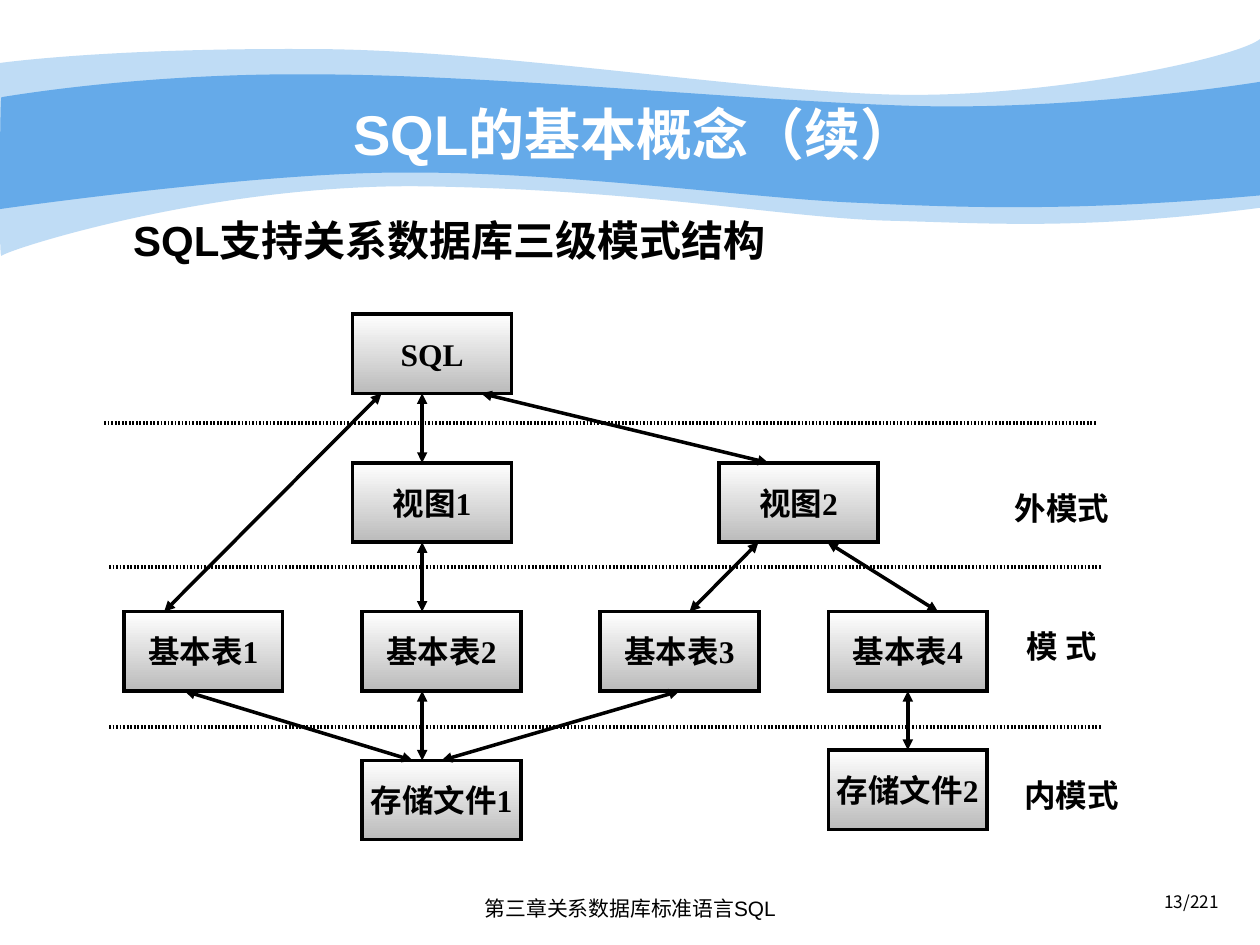
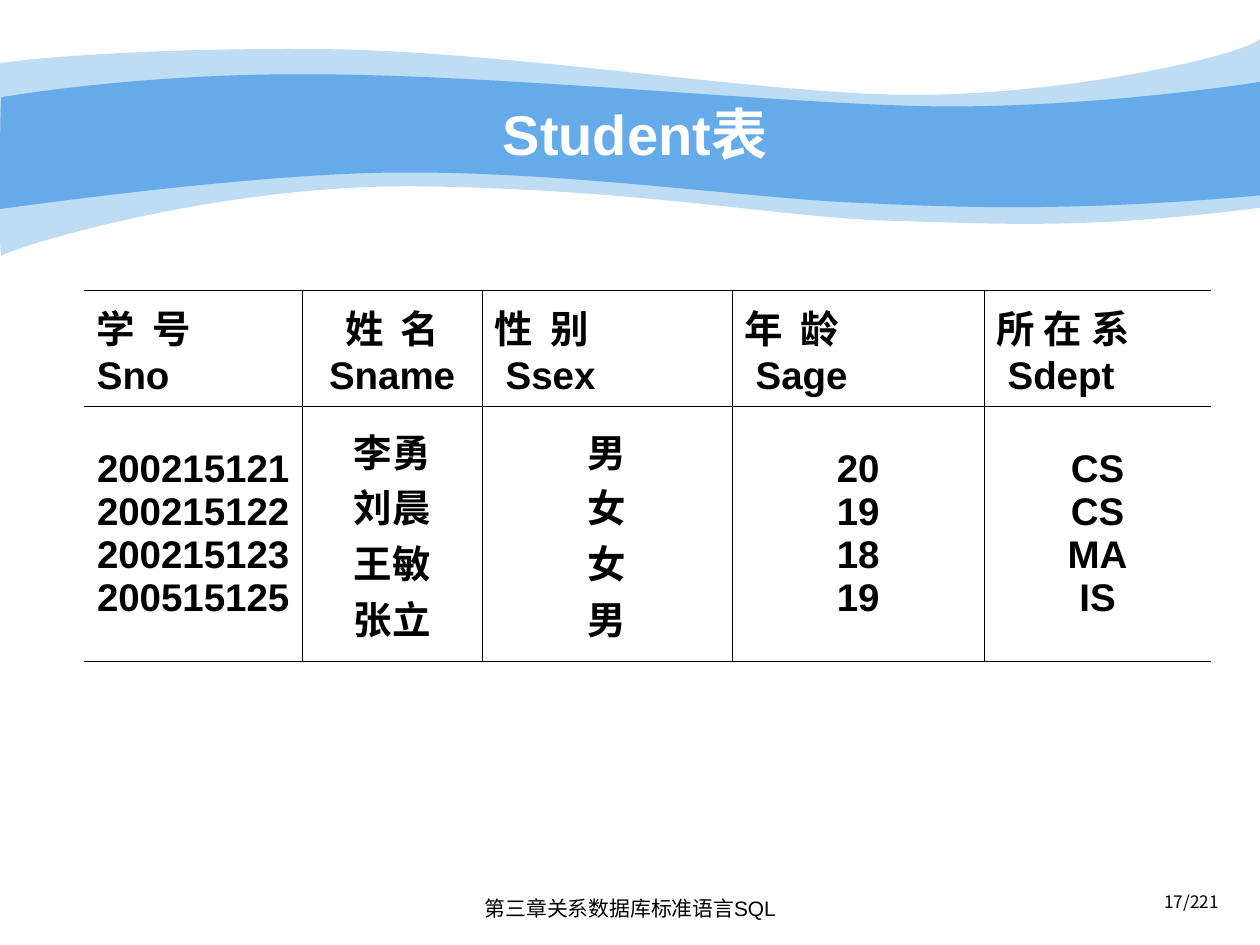
from dataclasses import dataclass

from lxml import etree
from pptx import Presentation
from pptx.dml.color import RGBColor
from pptx.enum.shapes import MSO_CONNECTOR, MSO_SHAPE
from pptx.enum.text import MSO_ANCHOR, PP_ALIGN
from pptx.oxml.ns import qn
from pptx.util import Cm, Pt

LEFT, CENTER, RIGHT = PP_ALIGN.LEFT, PP_ALIGN.CENTER, PP_ALIGN.RIGHT
TOP, MIDDLE = MSO_ANCHOR.TOP, MSO_ANCHOR.MIDDLE
STRAIGHT = MSO_CONNECTOR.STRAIGHT
RECTANGLE = MSO_SHAPE.RECTANGLE
TOP_SIDE, BOTTOM_SIDE = 0, 2

FOOTER = "第三章关系数据库标准语言SQL"
PAGE_COUNT = 221

OUTER_WAVE = (
    ((0, 1.27),),
    ((0.61, 1.19), (2.72, 0.97), (6.27, 0.99)),
    ((9.8, 0.99), (14.6, 1.78), (17.75, 1.9)),
    ((20.88, 2.03), (24.89, 1.19), (25.4, 0.79)),
    ((25.4, 4.19),),
    ((21.79, 4.65), (19.99, 4.5), (17.91, 4.45)),
    ((15.8, 4.39), (13.08, 3.84), (8.71, 3.76)),
    ((4.37, 3.66), (0.1, 5.05), (0.03, 5.16)),
    ((-0.03, 5.28), (0, 1.9), (0, 1.27)),
)
INNER_WAVE = (
    ((0.03, 1.96),),
    ((0.05, 1.96), (2.79, 1.47), (6.3, 1.5)),
    ((9.8, 1.5), (15.11, 2.03), (18.24, 2.13)),
    ((21.36, 2.24), (24.79, 1.75), (25.4, 1.65)),
    ((25.4, 3.94),),
    ((21.67, 4.27), (19.43, 4.19), (17.32, 4.09)),
    ((15.21, 4.01), (11.35, 3.45), (8.05, 3.48)),
    ((5.16, 3.48), (-0.05, 4.22), (-0.03, 4.22)),
    ((0, 4.22), (0, 1.96), (0.03, 1.96)),
)

BOX_WIDTH, BOX_HEIGHT = 3.2, 1.6
FIRST_LEVEL, LEVEL_STEP = 6.33, 3
BOXES = (
    ("SQL", 7.11, 0), ("视图2", 14.5, 1), ("视图1", 7.11, 1),
    ("基本表2", 7.3, 2), ("基本表1", 2.5, 2),
    ("基本表3", 12.1, 2), ("基本表4", 16.7, 2),
    ("存储文件2", 16.7, 2.93), ("存储文件1", 7.3, 3),
)
LINKS = (
    ("SQL", "基本表1", -1.02, -0.79), ("SQL", "视图1", -0.2, -0.2),
    ("视图1", "基本表2", -0.2, -0.39), ("基本表2", "存储文件1", -0.39, -0.39),
    ("SQL", "视图2", 0.99, -0.61), ("视图2", "基本表3", -0.81, 0.2),
    ("视图2", "基本表4", 0.58, 0.61), ("基本表1", "存储文件1", -0.38, -0.58),
    ("基本表3", "存储文件1", 0, 0), ("基本表4", "存储文件2", 0, 0),
)
DIVIDERS = ((2.1, 8.53), (2.2, 11.43), (2.2, 14.66))
SCHEMA_LABELS = (("外模式", 19.91, 9.73), ("模 式", 19.91, 12.52), ("内模式", 20.1, 15.52))

COLUMN_WIDTHS = (4.39, 3.63, 5.04, 5.08, 4.57)
ROW_HEIGHTS = (2.34, 5.13)
STUDENT_COLUMNS = (
    ("学 号", "Sno", LEFT, 0, ("200215121", "200215122", "200215123", "200515125")),
    ("姓 名", "Sname", CENTER, 0, ("李勇", "刘晨", "王敏", "张立")),
    ("性 别", "Ssex", LEFT, 0.22, ("男", "女", "女", "男")),
    ("年 龄", "Sage", LEFT, 0.22, ("20", "19", "18", "19")),
    ("所 在 系", "Sdept", LEFT, 0.22, ("CS", "CS", "MA", "IS")),
)


@dataclass(frozen=True)
class Theme:
    """Colours, fonts and type sizes of the deck."""
    blue: RGBColor = RGBColor(0x65, 0xAA, 0xE9)
    black: RGBColor = RGBColor(0, 0, 0)
    white: RGBColor = RGBColor(255, 255, 255)
    gray: RGBColor = RGBColor(0xBB, 0xBB, 0xBB)
    sans: str = "Arial"
    serif: str = "Times New Roman"
    chinese: str = "Noto Sans CJK SC"
    title_size: float = 32
    heading_size: float = 24
    table_size: float = 22
    diagram_size: float = 18
    footer_size: float = 11.9
    page_size: float = 9.8
    line_width: float = 2
    border_width: float = 0.45


class Deck:
    """Draws styled elements on the current slide."""

    def __init__(self, theme):
        self.theme = theme
        self.presentation = Presentation()
        self.presentation.slide_width = Cm(25.4)
        self.presentation.slide_height = Cm(19.05)
        self.slide = None

    def add_slide(self, title, page):
        theme = self.theme
        self.slide = self.presentation.slides.add_slide(self.presentation.slide_layouts[6])
        self.add_wave(OUTER_WAVE, opacity=41)
        self.add_wave(INNER_WAVE)
        self.add_text(f"{page}/{PAGE_COUNT}", (18.9, 17.93, 5.92, 0.74), theme.page_size,
                      font=theme.chinese, bold=False, alignment=RIGHT, line_spacing=0.8)
        self.add_text(FOOTER, (8.68, 17.93, 8.05, 0.81), theme.footer_size, bold=False)
        self.add_text(title, (2.54, 1.9, 20.53, 1.57), theme.title_size,
                      color=theme.white, anchor=MIDDLE)

    def format_paragraph(self, paragraph, size, font=None, color=None, bold=True,
                         alignment=CENTER):
        paragraph.alignment = alignment
        for run in paragraph.runs:
            run.font.name = font or self.theme.sans
            run.font.size = Pt(size)
            run.font.bold = bold
            run.font.color.rgb = self.theme.black if color is None else color
            east_asian = etree.Element(qn("a:ea"), typeface=self.theme.chinese)
            run.font._element.find(qn("a:latin")).addnext(east_asian)

    def add_text(self, text, box, size, anchor=TOP, wrap=True, line_spacing=None, **style):
        shape = self.slide.shapes.add_textbox(*map(Cm, box))
        frame = shape.text_frame
        frame.text = text
        frame.word_wrap = wrap
        frame.vertical_anchor = anchor
        paragraph = frame.paragraphs[0]
        if line_spacing:
            paragraph.line_spacing = line_spacing
        self.format_paragraph(paragraph, size, **style)

    def add_wave(self, segments, opacity=100):
        start, *points = [(Cm(x), Cm(y)) for segment in segments for x, y in segment]
        builder = self.slide.shapes.build_freeform(*start)
        builder.add_line_segments(points, close=True)
        shape = builder.convert_to_shape()
        self.bend_outline(shape, segments[1:])
        shape.shadow.inherit = False
        shape.line.fill.background()
        shape.fill.solid()
        shape.fill.fore_color.rgb = self.theme.blue
        if opacity < 100:
            color = shape._element.spPr.find(qn("a:solidFill"))[0]
            etree.SubElement(color, qn("a:alpha"), val=str(opacity * 1000))

    def bend_outline(self, shape, segments):
        steps = iter(list(shape._element.iter(qn("a:lnTo"))))
        for segment in segments:
            group = [next(steps) for _ in segment]
            if len(group) == 3:
                curve = etree.Element(qn("a:cubicBezTo"))
                group[0].addprevious(curve)
                for step in group:
                    curve.append(step[0])
                    step.getparent().remove(step)

    def add_box(self, text, left, top):
        theme = self.theme
        shape = self.slide.shapes.add_shape(
            RECTANGLE, *map(Cm, (left, top, BOX_WIDTH, BOX_HEIGHT)))
        shape.shadow.inherit = False
        shape.fill.gradient()
        shape.fill.gradient_angle = 270
        for stop, color in zip(shape.fill.gradient_stops, (theme.white, theme.gray)):
            stop.color.rgb = color
        shape.line.color.rgb = theme.black
        shape.line.width = Pt(theme.line_width)
        etree.SubElement(shape._element.spPr.find(qn("a:ln")), qn("a:miter"), lim="800000")
        frame = shape.text_frame
        frame.text = text
        frame.word_wrap = False
        frame.vertical_anchor = MIDDLE
        self.format_paragraph(frame.paragraphs[0], theme.diagram_size, theme.serif)
        return shape

    def add_line(self, x1, y1, x2, y2):
        line = self.slide.shapes.add_connector(STRAIGHT, x1, y1, x2, y2)
        line.line.color.rgb = self.theme.black
        line.line.width = Pt(self.theme.line_width)
        etree.SubElement(line._element.spPr, qn("a:effectLst"))
        return line

    def add_divider(self, left, top):
        line = self.add_line(Cm(left), Cm(top), Cm(left + 20), Cm(top))
        outline = line._element.spPr.find(qn("a:ln"))
        dashes = etree.SubElement(outline, qn("a:custDash"))
        etree.SubElement(dashes, qn("a:ds"), d="50000", sp="50000")

    def add_link(self, upper, lower, upper_offset, lower_offset):
        link = self.add_line(
            upper.left + upper.width // 2 + Cm(upper_offset), upper.top + upper.height,
            lower.left + lower.width // 2 + Cm(lower_offset), lower.top)
        if upper_offset == 0:
            link.begin_connect(upper, BOTTOM_SIDE)
        if lower_offset == 0:
            link.end_connect(lower, TOP_SIDE)
        outline = link._element.spPr.find(qn("a:ln"))
        for end in ("a:headEnd", "a:tailEnd"):
            etree.SubElement(outline, qn(end), type="triangle")

    def set_borders(self, cell, hidden):
        properties = cell._tc.get_or_add_tcPr()
        for side in ("L", "R", "T", "B"):
            border = etree.SubElement(properties, qn(f"a:ln{side}"),
                                      w=str(Pt(self.theme.border_width)))
            if side in hidden:
                etree.SubElement(border, qn("a:noFill"))
            else:
                fill = etree.SubElement(border, qn("a:solidFill"))
                etree.SubElement(fill, qn("a:srgbClr"), val=str(self.theme.black))

    def fill_cell(self, cell, lines, alignment, hidden):
        self.set_borders(cell, hidden)
        cell.fill.background()
        cell.vertical_anchor = MIDDLE
        cell.text_frame.text = "\n".join(lines)
        for paragraph in cell.text_frame.paragraphs:
            self.format_paragraph(paragraph, self.theme.table_size, alignment=alignment)

    def add_table(self, left, top, columns):
        table = self.slide.shapes.add_table(
            len(ROW_HEIGHTS), len(columns), Cm(left), Cm(top),
            Cm(sum(COLUMN_WIDTHS)), Cm(sum(ROW_HEIGHTS))).table
        table.first_row = table.horz_banding = False
        for row, height in zip(table.rows, ROW_HEIGHTS):
            row.height = Cm(height)
        for index, (chinese, name, alignment, indent, values) in enumerate(columns):
            table.columns[index].width = Cm(COLUMN_WIDTHS[index])
            hidden = {0: "L", len(columns) - 1: "R"}.get(index, "")
            header = table.cell(0, index)
            self.fill_cell(header, (chinese, name), alignment, hidden)
            self.fill_cell(table.cell(1, index), values, CENTER, hidden)
            first, second = header.text_frame.paragraphs
            if len(chinese) == 3:
                first.runs[0].font._element.set("spc", "240")
            second._p.get_or_add_pPr().set("marL", str(Cm(indent)))


def main():
    theme = Theme()
    deck = Deck(theme)

    deck.add_slide("SQL的基本概念（续）", 13)
    boxes = {name: deck.add_box(name, left, FIRST_LEVEL + LEVEL_STEP * level)
             for name, left, level in BOXES}
    for upper, lower, upper_offset, lower_offset in LINKS:
        deck.add_link(boxes[upper], boxes[lower], upper_offset, lower_offset)
    for left, top in DIVIDERS:
        deck.add_divider(left, top)
    for label, left, top in SCHEMA_LABELS:
        deck.add_text(label, (left, top, 3, 1.02), theme.diagram_size, font=theme.serif)
    deck.add_text("SQL支持关系数据库三级模式结构", (2.33, 3.8, 13.46, 1.68),
                  theme.heading_size, wrap=False, line_spacing=1.4)

    deck.add_slide("Student表", 17)
    deck.add_table(1.7, 5.86, STUDENT_COLUMNS)

    deck.presentation.save("out.pptx")


if __name__ == "__main__":
    main()
